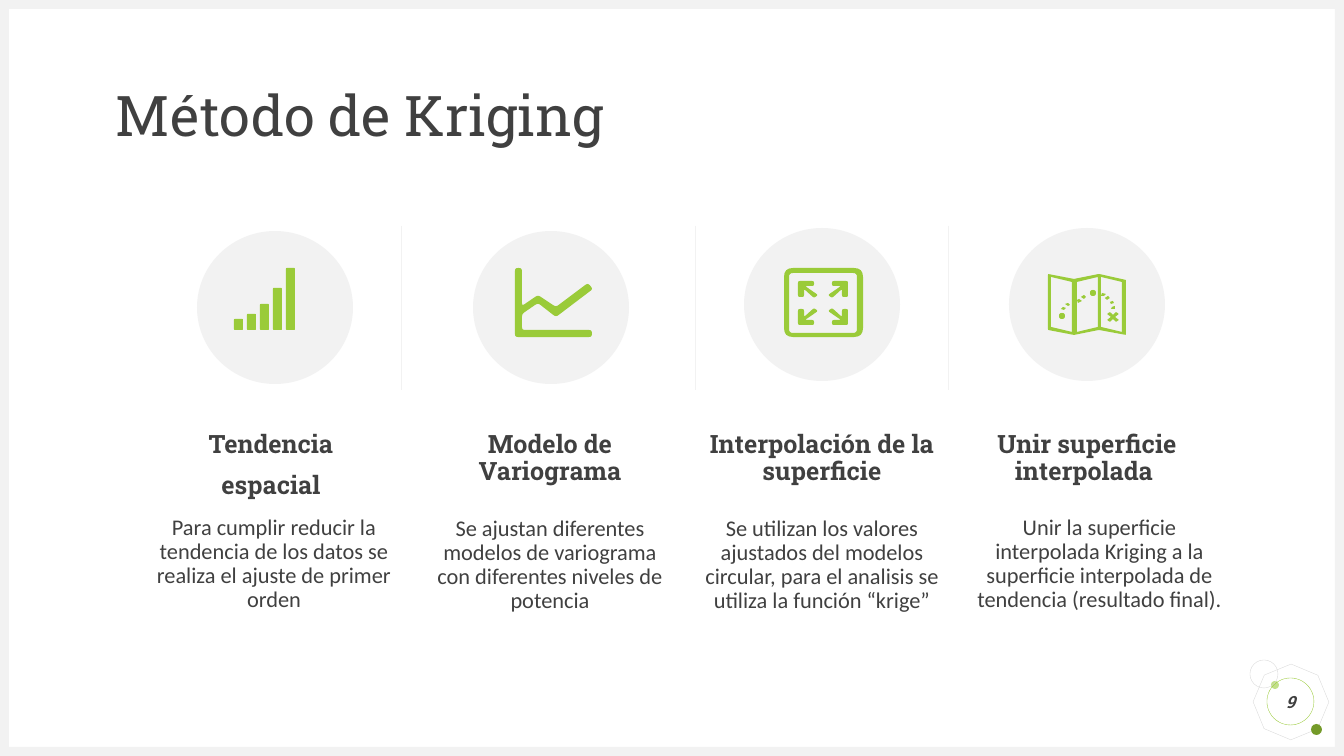
from dataclasses import dataclass
from math import dist
from lxml.etree import SubElement
from pptx import Presentation
from pptx.dml.color import RGBColor as Rgb
from pptx.enum.shapes import MSO_CONNECTOR as Link, MSO_SHAPE as Kind
from pptx.enum.text import MSO_ANCHOR as Anchor, MSO_AUTO_SIZE as Fit, PP_ALIGN as Align
from pptx.oxml.ns import qn
from pptx.util import Pt

UNIT = 12192000 / 1344


@dataclass(frozen=True)
class Theme:
    ink: str = "404040"
    pale: str = "F2F2F2"
    rim: str = "D9D9D9"
    lime: str = "9ACB39"
    mint: str = "C2E088"
    moss: str = "749A29"
    slab: str = "Roboto Slab"
    sans: str = "Calibri"
    title: int = 40
    head: int = 18
    body: int = 16
    badge: int = 12


def emu(*nums):
    return [round(num * UNIT) for num in nums]


def box(left, top, right, base):
    return [(left, top), (right, top), (right, base), (left, base)]


def soft(spots, size):
    curve = []
    for num, spot in enumerate(spots):
        ends = []
        for peer in (spots[num - 1], spots[(num + 1) % len(spots)]):
            gap = dist(spot, peer)
            part = min(size, gap / 2) / gap
            ends.append([a + (b - a) * part for a, b in zip(spot, peer)])
        for step in range(5):
            t = step / 4
            curve.append(tuple((1 - t) ** 2 * a + 2 * t * (1 - t) * b + t * t * c
                               for a, b, c in zip(ends[0], spot, ends[1])))
    return curve


def disc(x, y, size):
    return soft(box(x - size, y - size, x + size, y + size), size)


class Deck:
    def __init__(self, theme):
        self.theme = theme
        self.file = Presentation()
        self.file.slide_width, self.file.slide_height = emu(1344, 756)
        self.slide = self.file.slides.add_slide(self.file.slide_layouts[4])
        self.items = self.slide.shapes

    def paint(self, shape, fill=None, line=None):
        shape.shadow.inherit = False
        if fill:
            shape.fill.solid()
            shape.fill.fore_color.rgb = Rgb.from_string(fill)
        else:
            shape.fill.background()
        if line:
            shape.line.color.rgb = Rgb.from_string(line)
            shape.line.width = Pt(0.25)
        else:
            shape.line.fill.background()
        return shape

    def shape(self, kind, place, fill=None, line=None, turn=0):
        item = self.paint(self.items.add_shape(kind, *emu(*place)), fill, line)
        item.rotation = turn
        return item

    def rule(self, x, top, base):
        line = self.items.add_connector(Link.STRAIGHT, *emu(x, top, x, base))
        line.line.color.rgb = Rgb.from_string(self.theme.pale)
        line.line.width = Pt(0.5)
        SubElement(line._element.spPr, qn("a:effectLst"))

    def icon(self, rings):
        rings = [[emu(*spot) for spot in ring] for ring in rings]
        pen = self.items.build_freeform(*rings[0][0], scale=1.0)
        pen.add_line_segments(rings[0][1:], close=True)
        for ring in rings[1:]:
            pen.move_to(*ring[0])
            pen.add_line_segments(ring[1:], close=True)
        self.paint(pen.convert_to_shape(), self.theme.lime)

    def label(self, shape, lines, font, size, bold=False, slant=False,
              align=Align.CENTER, anchor=Anchor.TOP, lead=0.9, above=10):
        frame = shape.text_frame
        frame.word_wrap = True
        frame.auto_size = Fit.NONE
        frame.vertical_anchor = anchor
        frame.margin_left = frame.margin_right = 0
        frame.margin_top = frame.margin_bottom = 0
        for num, line in enumerate(lines):
            para = frame.add_paragraph() if num else frame.paragraphs[0]
            para.alignment = align
            para.line_spacing = lead
            para.space_before = Pt(above)
            props = para._p.get_or_add_pPr()
            props.set("marL", "0")
            props.set("indent", "0")
            SubElement(props, qn("a:buNone"))
            run = para.add_run()
            run.text = line
            run.font.name = font
            run.font.size = Pt(size)
            run.font.bold = bold
            run.font.italic = slant
            run.font.color.rgb = Rgb.from_string(self.theme.ink)

    def text(self, place, lines, font, size, **style):
        self.label(self.items.add_textbox(*emu(*place)), lines, font, size, **style)

    def hold(self, slot, place, lines, font, size, **style):
        shape = self.slide.placeholders[slot]
        shape.left, shape.top, shape.width, shape.height = emu(*place)
        self.label(shape, lines, font, size, **style)


look = Theme()
deck = Deck(look)

deck.shape(Kind.OCTAGON, (1256, 667, 70, 70), line=look.rim, turn=22.7)
deck.shape(Kind.OVAL, (1271, 681, 8, 8), look.mint)
deck.shape(Kind.OVAL, (1311, 724, 11, 11), look.moss)
deck.shape(Kind.OVAL, (1250, 660, 28, 28), line=look.rim)
for edge in ((0, 747, 1344, 9), (0, 0, 1344, 9), (0, 0, 9, 756), (1335, 0, 9, 756)):
    deck.shape(Kind.RECTANGLE, edge, look.pale)

deck.hold(0, (116, 95, 1200, 47), ["Método de Kriging"], look.slab, look.title,
          align=Align.LEFT, anchor=Anchor.MIDDLE, above=0)

steps = [
    (197, 231, 155, 516, 238, ["Tendencia ", "espacial "],
     "Para cumplir reducir la tendencia de los datos se realiza el ajuste de primer orden"),
    (473, 231, 431, 517, 238, ["Modelo de Variograma"],
     "Se ajustan diferentes modelos de variograma con diferentes niveles de potencia"),
    (744, 228, 703, 517, 238, ["Interpolación de la superficie"],
     "Se utilizan los valores ajustados del modelos circular, para el analisis "
     "se utiliza la función “krige”"),
    (1009, 228, 968, 516, 263, ["Unir superficie interpolada "],
     "Unir la superficie interpolada Kriging a la superficie interpolada "
     "de tendencia (resultado final)."),
]
for slot, (x, y, left, top, width, head, body) in enumerate(steps, 1):
    deck.shape(Kind.OVAL, (x, y, 156, 153), look.pale)
    deck.text((left, 432, 238, 55), head, look.slab, look.head, bold=True)
    deck.hold(slot, (left, top, width, 99), [body], look.sans, look.body)
for x in (401, 695, 948):
    deck.rule(x, 226, 390)

badge = deck.shape(Kind.OVAL, (1267, 678, 47, 47), line=look.lime)
deck.label(badge, ["9"], look.slab, look.badge, bold=True, slant=True,
           anchor=Anchor.MIDDLE, lead=1.0, above=0)

tops = (319, 314, 304, 288, 268)
deck.icon([soft(box(234 + 13 * num, top, 243 + 13 * num, 330), 1)
           for num, top in enumerate(tops)])

deck.icon([soft([(515, 268), (522, 268), (522, 306), (538, 295), (556, 307),
                 (588, 283), (593, 289), (556, 317), (538, 303), (522, 314),
                 (522, 330), (592, 330), (592, 337), (515, 337)], 3)])

arrow = [(798, 281), (814, 281), (814, 286), (805, 286), (818, 295),
         (814, 298), (804, 289), (804, 297), (798, 297)]
deck.icon([soft(box(784, 268, 863, 337), 9), soft(box(789, 273, 857, 333), 4)]
          + [soft([(823 + h * (x - 823), 303 + v * (y - 303)) for x, y in arrow], 2)
             for h in (1, -1) for v in (1, -1)])

sheet = [(1048, 274), (1074, 279), (1099, 274), (1126, 280),
         (1126, 335), (1099, 330), (1074, 335), (1048, 330)]
folds = [[(left, a), (left + 21, b), (left + 21, b + 50), (left, a + 50)]
         for left, a, b in ((1051, 277, 282), (1077, 282, 277), (1101, 277, 282))]
trail = [
    [(1070, 305), (1068, 303), (1065, 304), (1068, 306)],
    [(1066, 308), (1063, 307), (1061, 309), (1064, 310)],
    [(1086, 297), (1084, 295), (1081, 297), (1084, 299)],
    [(1082, 301), (1079, 299), (1077, 300), (1078, 303)],
    [(1101, 296), (1104, 296), (1106, 294), (1102, 293)],
    [(1107, 300), (1110, 298), (1108, 296), (1105, 298)],
    [(1111, 304), (1114, 303), (1113, 301), (1110, 302)],
    [(1111, 309), (1115, 309), (1115, 306), (1112, 307)],
]
cross = [(-3, -5), (0, -2), (3, -5), (6, -3), (2, 0), (6, 3),
         (3, 5), (0, 2), (-3, 5), (-6, 3), (-2, 0), (-6, -3)]
mark = soft([(1113 + x, 317 + y) for x, y in cross], 1)
deck.icon([soft(sheet, 1), *folds, *trail, mark, disc(1062, 316, 3), disc(1093, 293, 3)])

deck.file.save("out.pptx")
